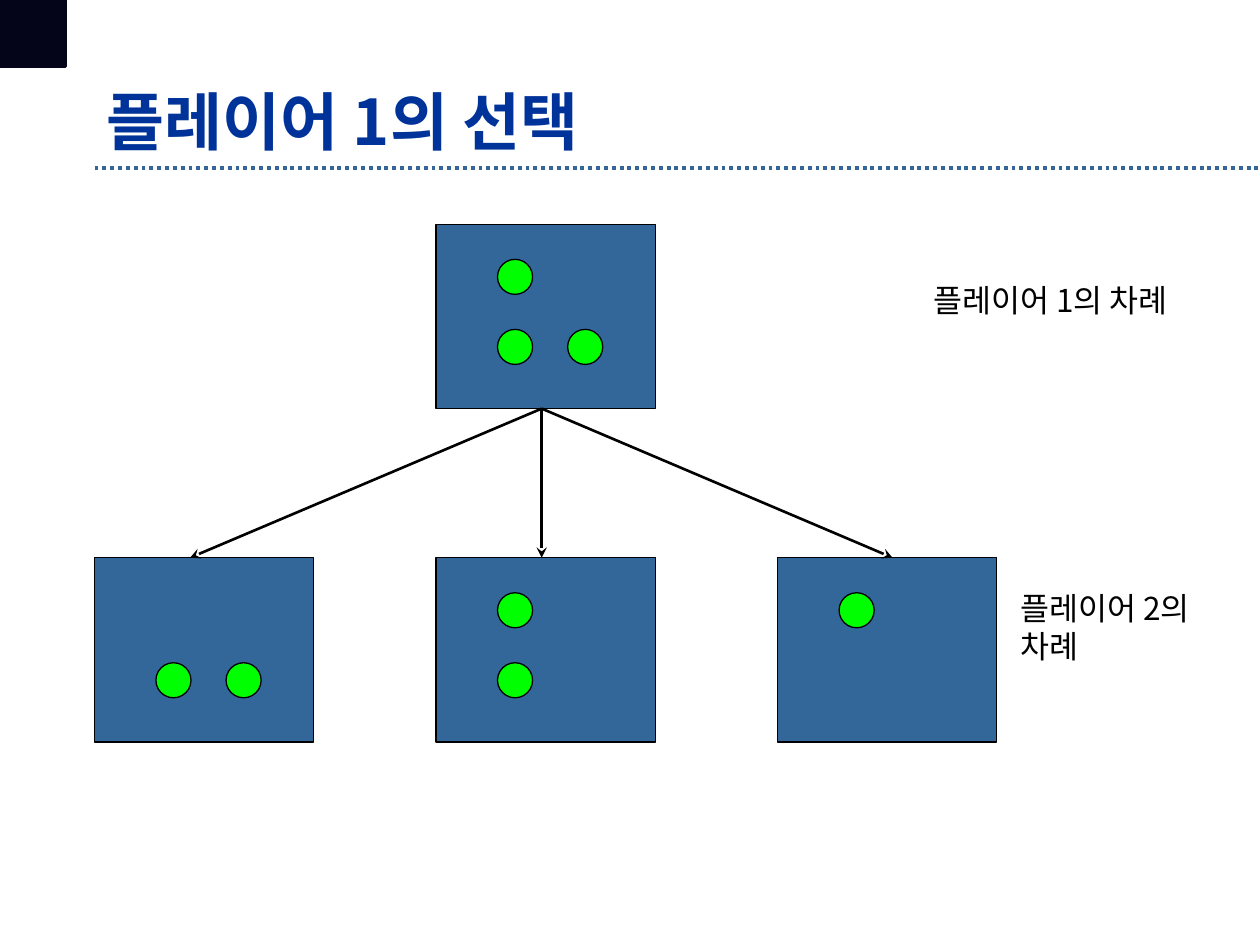
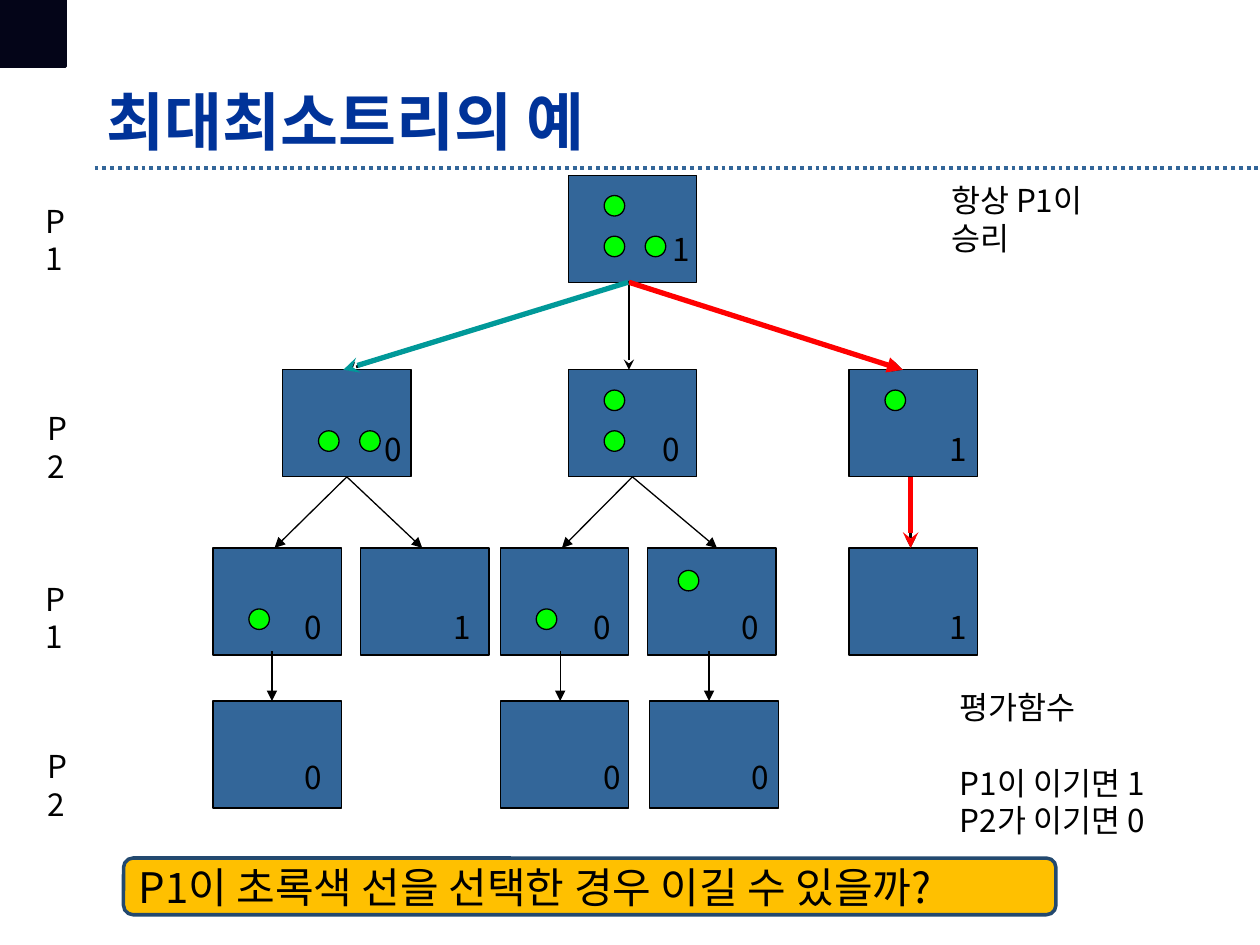
import pptx
import pptx.util
import pptx.dml.color
import pptx.enum.dml
import pptx.enum.shapes
import pptx.enum.text
import pptx.oxml.ns
import lxml.etree

Pt = pptx.util.Pt
RGBColor = pptx.dml.color.RGBColor
KINDS = pptx.enum.shapes.MSO_SHAPE
MIDDLE = pptx.enum.text.MSO_ANCHOR.MIDDLE
qn = pptx.oxml.ns.qn

FONT = "Noto Sans CJK KR"
BLACK = RGBColor(0x00, 0x00, 0x00)
NAVY = RGBColor(0x04, 0x05, 0x18)
BLUE = RGBColor(0x33, 0x66, 0x99)
TITLE = RGBColor(0x00, 0x33, 0x99)
GREEN = RGBColor(0x00, 0xFF, 0x00)
RED = RGBColor(0xFF, 0x00, 0x00)
TEAL = RGBColor(0x00, 0x99, 0x99)
GOLD = RGBColor(0xFF, 0xC0, 0x00)
EDGE = RGBColor(0x23, 0x49, 0x6F)

# Coin spots, as shares of the board's width and height
TOP, LOW, RIGHT, STRAY = (0.28, 0.19), (0.28, 0.57), (0.6, 0.57), (0.24, 0.21)


# Basic parts
def form(slide, kind, box, fill, edge=BLACK, width=0.75):
    shape = slide.shapes.add_shape(kind, *(Pt(v) for v in box))
    shape.shadow.inherit = False
    shape.fill.solid()
    shape.fill.fore_color.rgb = fill
    shape.line.color.rgb = edge
    shape.line.width = Pt(width)
    return shape


def write(frame, lines, size=18, color=BLACK, bold=False):
    frame.word_wrap = True
    for i, text in enumerate(lines):
        para = frame.add_paragraph() if i else frame.paragraphs[0]
        para.alignment = pptx.enum.text.PP_ALIGN.LEFT
        para.line_spacing = Pt(size * 1.2)
        run = para.add_run()
        run.text = text
        run.font.name = FONT
        run.font.size = Pt(size)
        run.font.bold = bold
        run.font.color.rgb = color
        east = lxml.etree.SubElement(run.font._element, qn("a:ea"))
        east.set("typeface", FONT)


def label(slide, box, lines, **style):
    frame = slide.shapes.add_textbox(*(Pt(v) for v in box)).text_frame
    write(frame, lines, **style)
    return frame


def line(slide, start, end, color=BLACK, width=1.5, tail=None):
    wire = slide.shapes.add_connector(
        pptx.enum.shapes.MSO_CONNECTOR.STRAIGHT, *(Pt(v) for v in (*start, *end)))
    wire.line.color.rgb = color
    wire.line.width = Pt(width)
    if tail:
        lxml.etree.SubElement(wire.line._get_or_add_ln(), qn("a:tailEnd")).set("type", tail)
    lxml.etree.SubElement(wire._element.spPr, qn("a:effectLst"))
    return wire


def link(slide, above, below, out=0, into=0, lift=0, **style):
    """Arrow from bottom to top side; out and into shift its ends off the middle."""
    start = (above.left.pt + above.width.pt / 2 + out,
             above.top.pt + above.height.pt - lift)
    end = (below.left.pt + below.width.pt / 2 + into, below.top.pt)
    wire = line(slide, start, end, **style)
    if not (out or lift):
        wire.begin_connect(above, 2)
    if not into:
        wire.end_connect(below, 0)


def board(slide, box, coins):
    x, y, w, h = box
    base = form(slide, KINDS.RECTANGLE, box, BLUE)
    size = 0.16 * w
    for across, down in coins:
        form(slide, KINDS.OVAL, (x + across * w, y + down * h, size, size), GREEN)
    return base


# Shared frame: corner block, dotted rule, title
def page(deck, title):
    slide = deck.slides.add_slide(deck.slide_layouts[6])
    rule = line(slide, (54, 96), (720, 96), BLUE, 2.25)
    rule.line.dash_style = pptx.enum.dml.MSO_LINE.ROUND_DOT
    form(slide, KINDS.RECTANGLE, (0.5, 0.5, 37, 37.5), NAVY, NAVY, 2)
    frame = label(slide, (54, 48, 618, 42), [title], size=36, color=TITLE, bold=True)
    frame.vertical_anchor = MIDDLE
    return slide


# First slide: the three moves of player 1
def moves(slide, box):
    x, y, step, drop = box
    w, h = 125.3, 105.3
    root = board(slide, (x + step, y, w, h), (TOP, LOW, RIGHT))
    picks = ((LOW, RIGHT), (TOP, LOW), (TOP,))
    for i, (coins, into) in enumerate(zip(picks, (-8, -2.3, 3))):
        child = board(slide, (x + i * step, y + drop, w, h), coins)
        link(slide, root, child, out=-2.3, into=into, tail="stealth")
    label(slide, (x + 472.3, y + 29, 164, 29), ["플레이어 1의 차례"])
    label(slide, (x + 522, y + 205, 132, 50), ["플레이어 2의", "차례"])


# Second slide: the full game tree
ROWS = (0, 111.2, 213, 300.5)
DROPS = (28, 31, 31, 29)
# name: row, left, coins, value, left of value in the board
NODES = {
    "root": (0, 203, (TOP, LOW, RIGHT), "1", 52.5),
    "a": (1, 39.8, (LOW, RIGHT), "0", 51),
    "b": (1, 203, (TOP, LOW), "0", 46.8),
    "c": (1, 363.5, (TOP,), "1", 50.4),
    "a1": (2, 0, (LOW,), "0", 45.4),
    "a2": (2, 84.4, (), "1", 46),
    "b1": (2, 164.2, (LOW,), "0", 46),
    "b2": (2, 248.3, (STRAY,), "0", 46.8),
    "c1": (2, 363.5, (), "1", 50.4),
    "a3": (3, 0, (), "0", 45.4),
    "b3": (3, 164.2, (), "0", 51.8),
    "b4": (3, 249.6, (), "0", 51.2),
}
BOLD = {"width": 1.5, "tail": "stealth"}
THIN = {"width": 0.75, "tail": "triangle"}
# from, to, shift out, shift in, lift, style
LINKS = (
    ("root", "a", -2, 0, 0, BOLD),
    ("root", "b", -2, -2, 0, BOLD),
    ("root", "c", -2, -6, 0, BOLD),
    ("c", "c1", -1.5, -1.5, 0, BOLD),
    ("a", "a1", 0, -1.5, 0, THIN),
    ("a", "a2", 0, -1.5, 0, THIN),
    ("b", "b1", 0, -1.5, 0, THIN),
    ("b", "b2", 0, 3, 0, THIN),
    ("a1", "a3", -3, -3, 2, THIN),
    ("b1", "b3", -2.5, -2.5, 2, THIN),
    ("b2", "b4", -1.5, -2.8, 2, THIN),
    ("root", "c", -2, -6, 0, {"color": RED, "width": 3, "tail": "triangle"}),
    ("c", "c1", -1.5, -1.5, 0, {"color": RED, "width": 3, "tail": "stealth"}),
    ("root", "a", -2.5, -2, 0, {"color": TEAL, "width": 3, "tail": "stealth"}),
)


def tree(slide, box):
    x, y, w, h = box
    made = {}
    for name, (row, left, coins, _, _) in NODES.items():
        made[name] = board(slide, (x + left, y + ROWS[row], w, h), coins)
    for above, below, out, into, lift, style in LINKS:
        link(slide, made[above], made[below], out, into, lift, **style)
    for row, left, _, value, shift in NODES.values():
        label(slide, (x + left + shift, y + ROWS[row] + DROPS[row], 24.5, 29), [value])


def notes(slide, box):
    x, y = box
    for i, top in enumerate((0, 118.8, 216, 311.8)):
        turn = i % 2
        label(slide, (x + 1.5 * turn, y + top, 35, 29), [f"P{turn + 1}"])
    label(slide, (x + 517.7, y - 11.5, 122, 29), ["항상 P1이 승리"])
    frame = label(slide, (x + 522.7, y + 278, 137, 94),
                  ["평가함수", "P1이 이기면 1", "P2가 이기면 0"])
    frame.paragraphs[1].space_before = Pt(21.6)


def quiz(slide, box):
    bar = form(slide, KINDS.ROUNDED_RECTANGLE, box, GOLD, EDGE, 2)
    bar.text_frame.vertical_anchor = MIDDLE
    write(bar.text_frame, ["P1이 초록색 선을 선택한 경우 이길 수 있을까?"], size=24)


def main():
    deck = pptx.Presentation()
    deck.slide_width, deck.slide_height = Pt(720), Pt(540)
    moves(page(deck, "플레이어 1의 선택"), (54, 128.2, 195.2, 190.5))
    slide = page(deck, "최대최소트리의 예")
    tree(slide, (121.7, 100.1, 73.4, 61.2))
    notes(slide, (18.7, 111.6))
    quiz(slide, (70.6, 490.3, 532.8, 32.4))
    deck.save("out.pptx")


if __name__ == "__main__":
    main()
